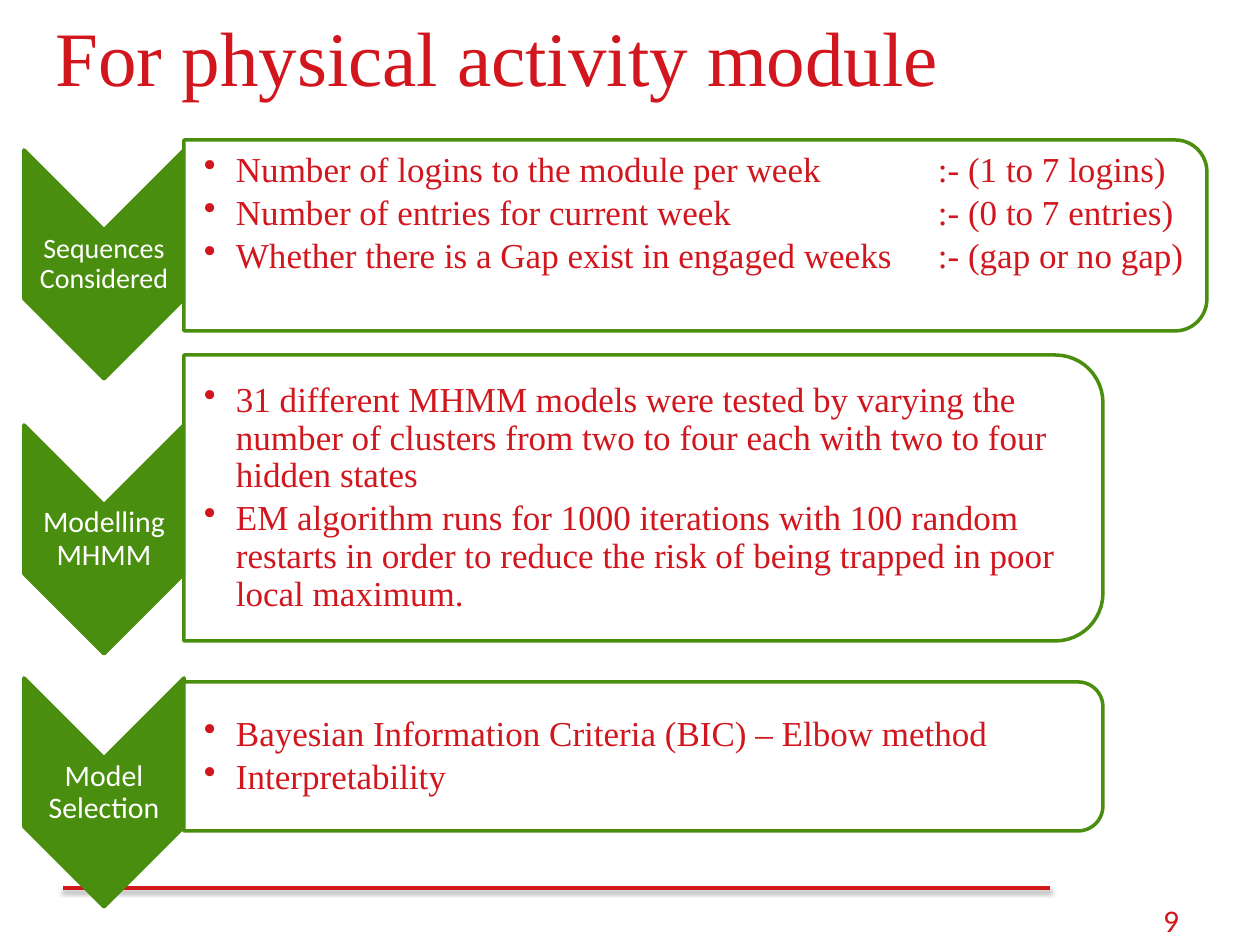
from math import cos, pi, sin

from lxml import etree
from pptx import Presentation
from pptx.dml.color import RGBColor
from pptx.enum.shapes import MSO_CONNECTOR
from pptx.enum.text import MSO_ANCHOR, PP_ALIGN
from pptx.oxml.ns import qn
from pptx.util import Pt

LEFT, CENTER = PP_ALIGN.LEFT, PP_ALIGN.CENTER
TOP, MIDDLE, BOTTOM = MSO_ANCHOR.TOP, MSO_ANCHOR.MIDDLE, MSO_ANCHOR.BOTTOM
SERIF, SANS = "Times New Roman", "Calibri"
RED, GREEN, WHITE = "D1161E", "4A8E10", "FFFFFF"

TITLE = "For physical activity module"
PAGE_NUMBER = "9"
STEPS = [
    {"label": "Sequences Considered", "size": 16, "chevron_top": 150,
     "box": (140, 1023, 191), "insets": (20, 9, 9, 52),
     "points": ["Number of logins to the module per week\t:- (1 to 7 logins)",
                "Number of entries for current week\t:- (0 to 7 entries)",
                "Whether there is a Gap exist in engaged weeks\t:- (gap or no gap)"]},
    {"label": "Modelling MHMM", "size": 17, "chevron_top": 425,
     "box": (355, 919, 286), "insets": (20, 15, 15, 15),
     "points": ["31 different MHMM models were tested by varying the number of clusters "
                "from two to four each with two to four hidden states",
                "EM algorithm runs for 1000 iterations with 100 random restarts in order "
                "to reduce the risk of being trapped in poor local maximum."]},
    {"label": "Model Selection", "size": 17, "chevron_top": 678,
     "box": (682, 919, 149), "insets": (20, 9, 9, 9),
     "points": ["Bayesian Information Criteria (BIC) – Elbow method",
                "Interpretability"]},
]
CHEVRON_LEFT, CHEVRON_W, CHEVRON_H = 24, 160, 229
BOX_LEFT = CHEVRON_LEFT + CHEVRON_W
BULLET_INDENT, TAB_POS = 32, 734
CORNER_STEPS = 12


def px(n):
    return round(n * 914400 / 126)


def rgb(code):
    return RGBColor.from_string(code)


def add_child(parent, tag, **attrs):
    return etree.SubElement(parent, qn(tag), {k: str(v) for k, v in attrs.items()})


def style(p, size, font, color, align=LEFT):
    p.alignment = align
    p.font.size = Pt(size)
    p.font.name = font
    p.font.color.rgb = rgb(color)


def set_frame(tf, anchor, insets):
    """Wrap the text; insets are left, top, right, bottom in px."""
    tf.word_wrap = True
    tf.vertical_anchor = anchor
    tf.margin_left, tf.margin_top, tf.margin_right, tf.margin_bottom = map(px, insets)


def add_text(s, text, bounds, size, font, align, anchor):
    tf = s.shapes.add_textbox(*map(px, bounds)).text_frame
    set_frame(tf, anchor, (13, 6, 13, 6))
    tf.text = text
    style(tf.paragraphs[0], size, font, RED, align)


def add_outline(s, points, fill):
    points = [(px(x), px(y)) for x, y in points]
    builder = s.shapes.build_freeform(*points[0])
    builder.add_line_segments(points[1:], close=True)
    sp = builder.convert_to_shape()
    sp.shadow.inherit = False
    sp.fill.solid()
    sp.fill.fore_color.rgb = rgb(fill)
    sp.line.color.rgb = rgb(GREEN)
    sp.line.width = Pt(2)
    return sp


def add_chevron(s, step):
    left, top = CHEVRON_LEFT, step["chevron_top"]
    mid, right, depth = left + CHEVRON_W / 2, left + CHEVRON_W, CHEVRON_W / 2
    bottom = top + CHEVRON_H
    sp = add_outline(s, [(left, top), (mid, top + depth), (right, top),
                         (right, bottom - depth), (mid, bottom),
                         (left, bottom - depth)], GREEN)
    tf = sp.text_frame
    set_frame(tf, MIDDLE, (1, 82, 1, 82))
    tf.text = step["label"]
    p = tf.paragraphs[0]
    p.line_spacing = 0.9
    style(p, step["size"], SANS, WHITE, CENTER)


def box_outline(top, width, height):
    """Rectangle whose two right corners are rounded by a sixth of its height."""
    r = height / 6
    right, bottom = BOX_LEFT + width, top + height
    angles = [pi / 2 * i / CORNER_STEPS for i in range(CORNER_STEPS + 1)]
    upper = [(right - r + r * sin(a), top + r - r * cos(a)) for a in angles]
    lower = [(right - r + r * cos(a), bottom - r + r * sin(a)) for a in angles]
    return [(BOX_LEFT, top), *upper, *lower, (BOX_LEFT, bottom)]


def add_box(s, step):
    sp = add_outline(s, box_outline(*step["box"]), WHITE)
    white = sp._element.spPr.find(qn("a:solidFill"))[0]
    add_child(white, "a:alpha", val=90000)
    tf = sp.text_frame
    set_frame(tf, MIDDLE, step["insets"])
    for i, text in enumerate(step["points"]):
        p = tf.add_paragraph() if i else tf.paragraphs[0]
        p.text = text
        pPr = p._p.get_or_add_pPr()
        pPr.set("marL", str(px(BULLET_INDENT)))
        pPr.set("indent", str(-px(BULLET_INDENT)))
        add_child(pPr, "a:buChar", char="•")
        if "\t" in text:
            tabs = add_child(pPr, "a:tabLst")
            add_child(tabs, "a:tab", pos=px(TAB_POS), algn="l")
        p.line_spacing = 0.9
        p.space_after = Pt(3)
        style(p, 20, SERIF, RED)


def add_footer_rule(s):
    rule = s.shapes.add_connector(MSO_CONNECTOR.STRAIGHT, px(63), px(888), px(1050), px(888))
    rule.line.color.rgb = rgb(RED)
    rule.line.width = Pt(2)
    effects = add_child(rule._element.spPr, "a:effectLst")
    shadow = add_child(effects, "a:outerShdw", blurRad=Pt(3.1), dist=Pt(1.6),
                       dir=5400000, rotWithShape=0)
    black = add_child(shadow, "a:srgbClr", val="000000")
    add_child(black, "a:alpha", val=38000)


def main():
    prs = Presentation()
    prs.slide_width, prs.slide_height = px(1260), px(945)
    s = prs.slides.add_slide(prs.slide_layouts[6])
    add_footer_rule(s)
    add_text(s, TITLE, (0, 0, 995, 108), 44, SERIF, CENTER, BOTTOM)
    add_text(s, PAGE_NUMBER, (1150, 895, 110, 50), 18, SANS, LEFT, TOP)
    for step in STEPS:
        add_chevron(s, step)
        add_box(s, step)
    prs.save("out.pptx")


if __name__ == "__main__":
    main()
